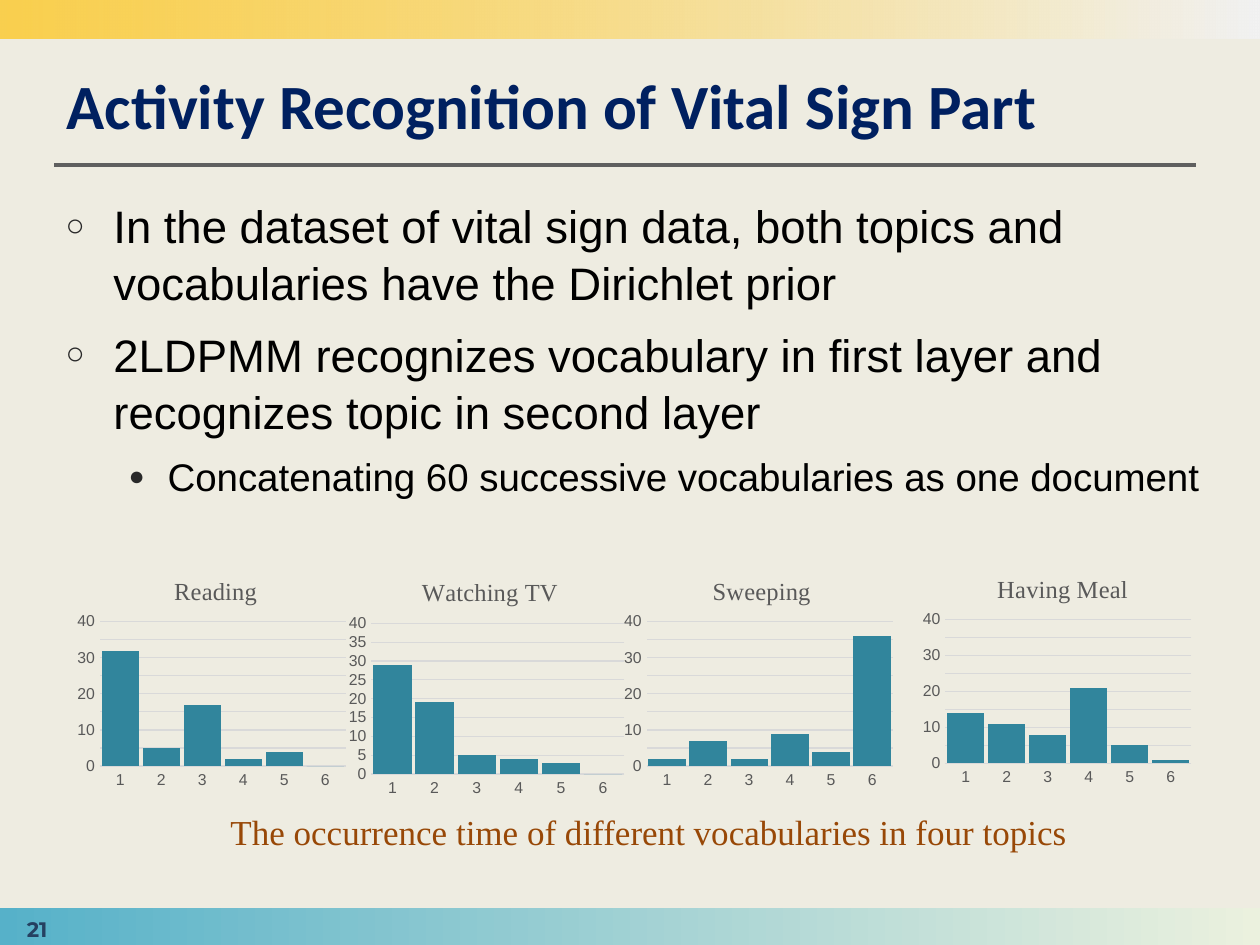
from dataclasses import dataclass
from typing import Any

from lxml.etree import SubElement
from pptx import Presentation
from pptx.chart.data import CategoryChartData
from pptx.dml.color import RGBColor
from pptx.enum.chart import XL_CHART_TYPE, XL_TICK_MARK
from pptx.enum.shapes import MSO_CONNECTOR, MSO_SHAPE
from pptx.enum.text import MSO_ANCHOR, MSO_AUTO_SIZE, PP_ALIGN
from pptx.oxml import parse_xml
from pptx.oxml.ns import nsdecls, qn
from pptx.util import Inches, Pt


@dataclass(frozen=True)
class Theme:
    background: str = "EEECE1"
    title: str = "002060"
    body: str = "000000"
    bullet: str = "292929"
    rule: str = "5F5F5F"
    page: str = "254061"
    caption: str = "984807"
    column: str = "31859C"
    chart_text: str = "595959"
    grid: str = "D9D9D9"
    title_size: int = 36
    point_size: int = 26
    detail_size: int = 22
    caption_size: int = 20
    chart_title_size: int = 14
    page_size: int = 12
    axis_size: int = 9
    serif: str = "Times New Roman"
    sans: str = "Arial"


@dataclass(frozen=True)
class Point:
    text: str
    level: int
    size: int
    margin: float
    hanging: float
    mark: str


@dataclass(frozen=True)
class Activity:
    name: str
    counts: tuple[int, ...]
    box: tuple[float, float, float, float]
    title_x: float
    overlap: int = -27
    plot_height: float = 0.6


@dataclass(frozen=True)
class Band:
    top: float
    start: str
    end: str
    opacity: int = 100


THEME = Theme()
BANDS = (Band(7.21, "56B1C9", "EBF1DE"), Band(0, "FFC30D", "F2F2F2", 69))
POINTS = (
    Point("In the dataset of vital sign data, both topics and vocabularies have the Dirichlet prior",
          0, THEME.point_size, 0.38, 0.38, "○"),
    Point("2LDPMM recognizes vocabulary in first layer and recognizes topic in second layer",
          0, THEME.point_size, 0.38, 0.38, "○"),
    Point("Concatenating 60 successive vocabularies as one document",
          1, THEME.detail_size, 0.81, 0.31, "●"),
)
ACTIVITIES = (
    Activity("Having Meal", (14, 11, 8, 21, 5, 1), (7.28, 4.38, 2.22, 1.91), 0.27, 0),
    Activity("Reading", (32, 5, 17, 2, 4, 0), (0.57, 4.4, 2.22, 1.91), 0.35),
    Activity("Sweeping", (2, 7, 2, 9, 4, 36), (4.91, 4.4, 2.22, 1.91), 0.32),
    Activity("Watching TV", (29, 19, 5, 4, 3, 0), (2.72, 4.4, 2.28, 1.96), 0.26, plot_height=0.61),
)


def apply(target: Any, values: dict[str, Any]) -> None:
    for key, value in values.items():
        setattr(target, key, value)


def set_font(font: Any, name: str, size: int, color: str, bold: bool = False) -> None:
    apply(font, {"name": name, "size": Pt(size), "bold": bold})
    font.color.rgb = RGBColor.from_string(color)


def place(holder: Any, left: float, top: float, width: float, height: float) -> None:
    apply(holder, {"left": Inches(left), "top": Inches(top),
                   "width": Inches(width), "height": Inches(height)})


def draw_band(slide: Any, band: Band) -> None:
    strip = slide.shapes.add_shape(MSO_SHAPE.RECTANGLE, 0, Inches(band.top), Inches(10), Inches(0.31))
    strip.shadow.inherit = False
    strip.line.fill.background()
    strip.fill.gradient()
    strip.fill.gradient_angle = 0
    for stop, color in zip(strip.fill.gradient_stops, (band.start, band.end)):
        stop.color.rgb = RGBColor.from_string(color)
    if band.opacity < 100:
        first_color = strip.element.xpath(".//a:gs/a:srgbClr")[0]
        SubElement(first_color, qn("a:alpha")).set("val", str(band.opacity * 1000))


def draw_rule(slide: Any) -> None:
    rule = slide.shapes.add_connector(MSO_CONNECTOR.STRAIGHT, Inches(0.43), Inches(1.31),
                                      Inches(9.49), Inches(1.31))
    rule.line.color.rgb = RGBColor.from_string(THEME.rule)
    rule.line.width = Pt(2.25)
    SubElement(rule.element.spPr, qn("a:effectLst"))


def write_heading(heading: Any) -> None:
    place(heading, 0.43, 0.44, 8.98, 0.74)
    frame = heading.text_frame
    frame.text = "Activity Recognition of Vital Sign Part"
    apply(frame, {"vertical_anchor": MSO_ANCHOR.BOTTOM, "auto_size": MSO_AUTO_SIZE.NONE})
    frame.paragraphs[0].alignment = PP_ALIGN.LEFT
    set_font(frame.paragraphs[0].runs[0].font, "Calibri", THEME.title_size, THEME.title, True)


def write_points(body: Any) -> None:
    place(body, 0.42, 1.5, 9.47, 5.35)
    frame = body.text_frame
    apply(frame, {"vertical_anchor": MSO_ANCHOR.TOP, "auto_size": MSO_AUTO_SIZE.NONE})
    for index, point in enumerate(POINTS):
        paragraph = frame.add_paragraph() if index else frame.paragraphs[0]
        apply(paragraph, {"text": point.text, "level": point.level, "line_spacing": 1.05,
                          "space_before": Pt(round(point.size * 0.3) if index else 0)})
        properties = paragraph._p.get_or_add_pPr()
        properties.set("marL", str(Inches(point.margin)))
        properties.set("indent", str(-Inches(point.hanging)))
        bullet_color = SubElement(properties, qn("a:buClr"))
        SubElement(bullet_color, qn("a:srgbClr")).set("val", THEME.bullet)
        SubElement(properties, qn("a:buSzPct")).set("val", "70000")
        SubElement(properties, qn("a:buFont")).set("typeface", THEME.sans)
        SubElement(properties, qn("a:buChar")).set("char", point.mark)
        set_font(paragraph.runs[0].font, THEME.sans, point.size, THEME.body)


def write_label(slide: Any, text: str, box: tuple[float, ...], font: tuple[Any, ...],
                frame_format: dict[str, Any]) -> None:
    label = slide.shapes.add_textbox(*map(Inches, box))
    apply(label.text_frame, frame_format)
    paragraph = label.text_frame.paragraphs[0]
    paragraph.text = text
    paragraph.alignment = PP_ALIGN.CENTER
    set_font(paragraph.runs[0].font, *font)


def set_layout(parent: Any, position: int, values: dict[str, Any]) -> None:
    for old in parent.findall(qn("c:layout")):
        parent.remove(old)
    entries = "".join(f'<c:{key} val="{value}"/>' for key, value in values.items())
    parent.insert(position, parse_xml(
        f'<c:layout {nsdecls("c")}><c:manualLayout>{entries}</c:manualLayout></c:layout>'))


def clear_fill() -> Any:
    return parse_xml(f'<c:spPr {nsdecls("c", "a")}><a:noFill/><a:ln><a:noFill/></a:ln></c:spPr>')


def draw_activity(slide: Any, activity: Activity) -> None:
    data = CategoryChartData()
    data.categories = [str(number) for number in range(1, 7)]
    data.add_series("Series 1", activity.counts)
    chart = slide.shapes.add_chart(XL_CHART_TYPE.COLUMN_CLUSTERED, *map(Inches, activity.box), data).chart
    chart.has_legend = False
    set_font(chart.font, THEME.sans, 10, THEME.body)

    chart.has_title = True
    caption = chart.chart_title.text_frame
    caption.text = activity.name
    set_font(caption.paragraphs[0].runs[0].font, THEME.serif, THEME.chart_title_size, THEME.chart_text)
    set_layout(chart.chart_title._element, 1,
               {"xMode": "edge", "yMode": "edge", "x": activity.title_x, "y": 0.07})

    columns = chart.plots[0]
    apply(columns, {"gap_width": 10, "overlap": activity.overlap, "vary_by_categories": False})
    columns.series[0].format.fill.solid()
    columns.series[0].format.fill.fore_color.rgb = RGBColor.from_string(THEME.column)

    for axis in (chart.category_axis, chart.value_axis):
        apply(axis, {"major_tick_mark": XL_TICK_MARK.NONE, "minor_tick_mark": XL_TICK_MARK.NONE})
        set_font(axis.tick_labels.font, THEME.sans, THEME.axis_size, THEME.chart_text)
    counts = chart.value_axis
    apply(counts, {"minimum_scale": 0, "maximum_scale": 40, "major_unit": 5, "has_major_gridlines": True})
    counts.format.line.fill.background()
    for line in (chart.category_axis.format.line, counts.major_gridlines.format.line):
        line.color.rgb = RGBColor.from_string(THEME.grid)
        line.width = Pt(0.75)

    plot_area = chart._chartSpace.chart.plotArea
    set_layout(plot_area, 0, {"layoutTarget": "inner", "xMode": "edge", "yMode": "edge",
                              "x": 0.1, "y": 0.28, "w": 0.88, "h": activity.plot_height})
    plot_area.append(clear_fill())
    chart._chartSpace.chart.addnext(clear_fill())


def main() -> None:
    deck = Presentation()
    apply(deck, {"slide_width": Inches(10), "slide_height": Inches(7.5)})
    slide = deck.slides.add_slide(deck.slide_layouts[1])
    slide.background.fill.solid()
    slide.background.fill.fore_color.rgb = RGBColor.from_string(THEME.background)
    for band in BANDS:
        draw_band(slide, band)
    draw_rule(slide)
    write_heading(slide.shapes.title)
    write_points(slide.placeholders[1])
    write_label(slide, "21", (0, 7.14, 0.59, 0.47), ("Montserrat", THEME.page_size, THEME.page, True),
                {"word_wrap": True, "vertical_anchor": MSO_ANCHOR.MIDDLE})
    for activity in ACTIVITIES:
        draw_activity(slide, activity)
    write_label(slide, "The occurrence time of different vocabularies in four topics",
                (1.72, 6.38, 6.86, 0.44), (THEME.serif, THEME.caption_size, THEME.caption),
                {"word_wrap": False, "auto_size": MSO_AUTO_SIZE.SHAPE_TO_FIT_TEXT})
    deck.save("out.pptx")


if __name__ == "__main__":
    main()
